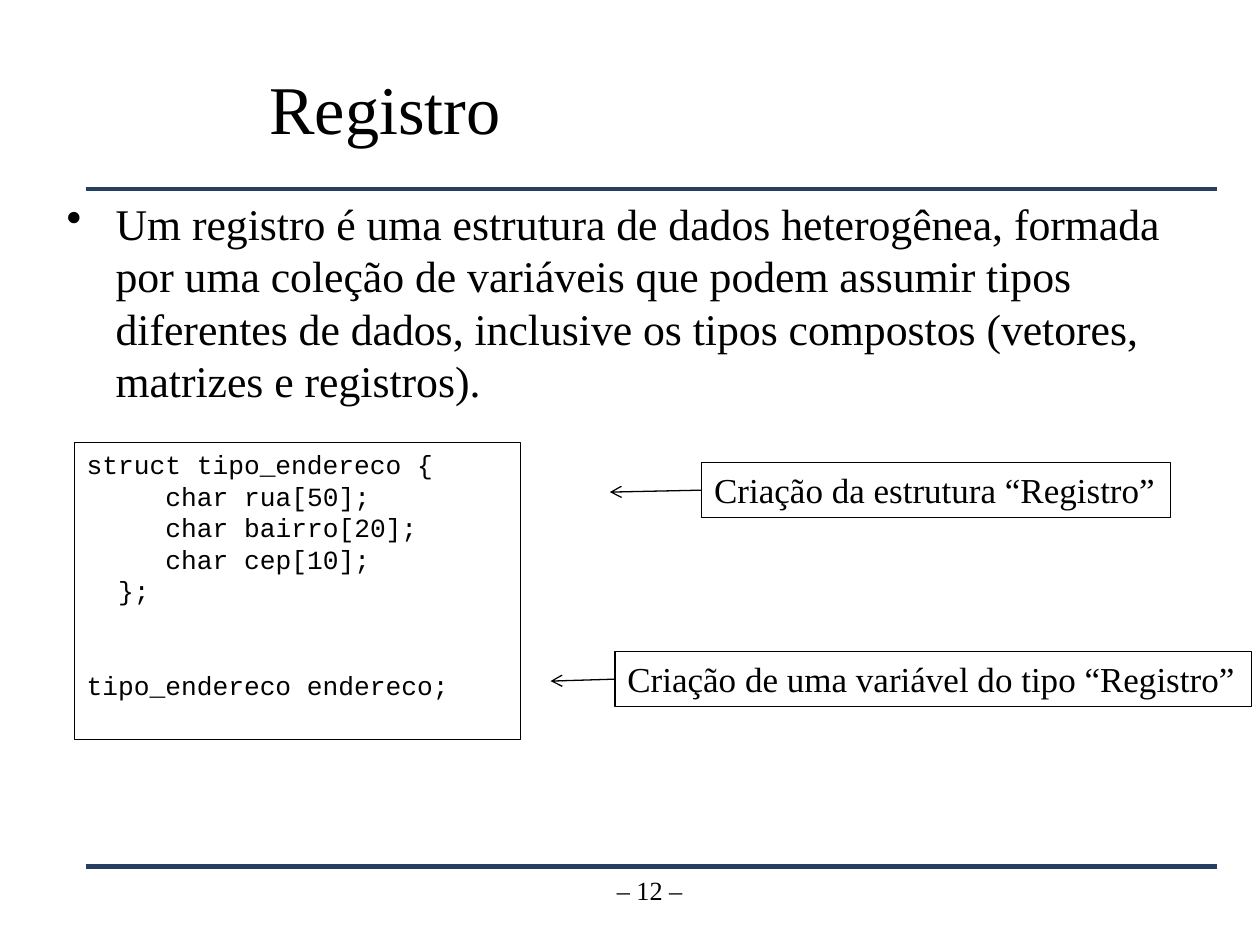
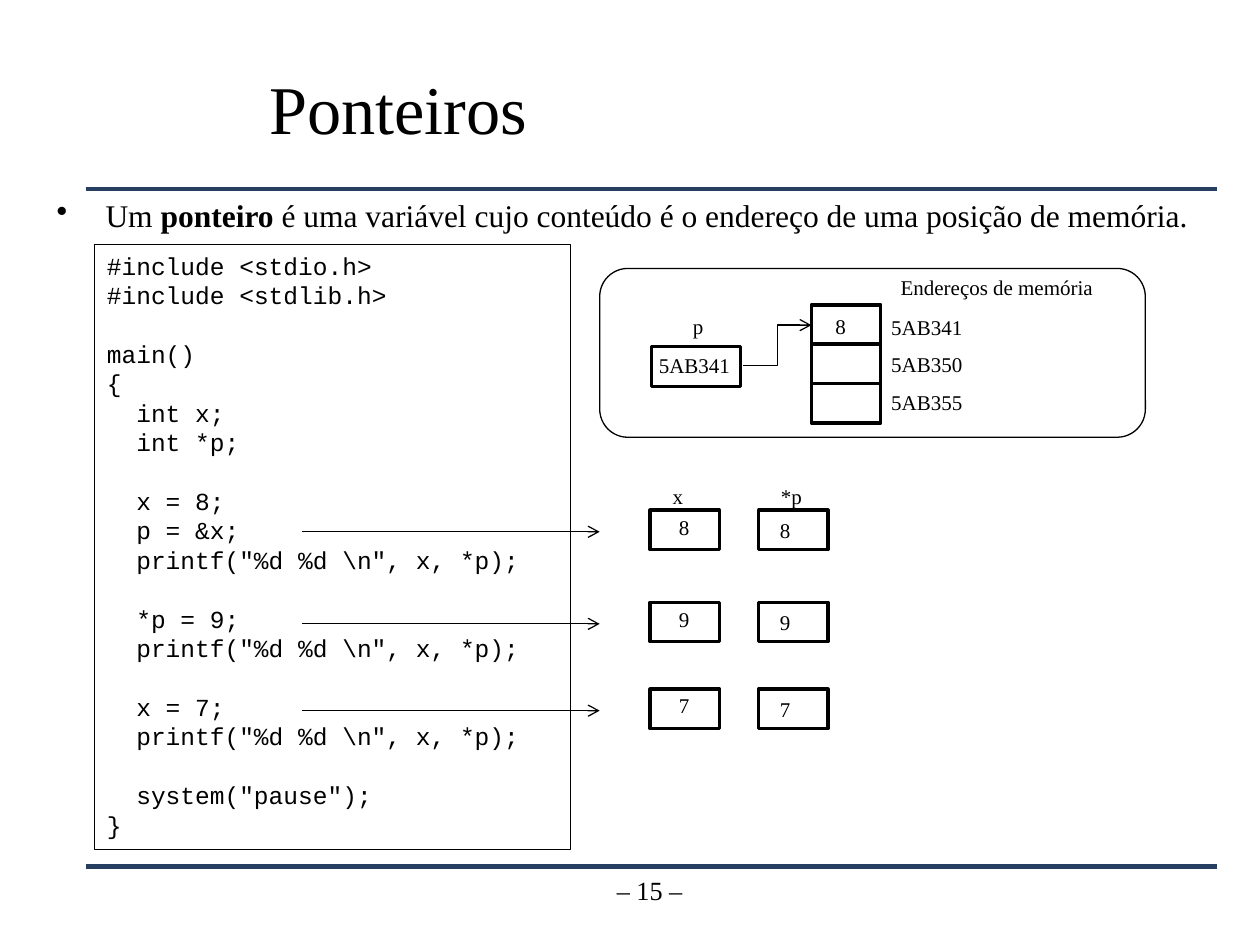
"""Builds two lecture slides on records and pointers in C."""
from lxml import etree
from pptx import Presentation
from pptx.dml.color import RGBColor
from pptx.enum import shapes, text
from pptx.oxml.ns import qn
from pptx.util import Pt

BLACK = RGBColor(0x00, 0x00, 0x00)
WHITE = RGBColor(0xFF, 0xFF, 0xFF)
NAVY = RGBColor(0x26, 0x3E, 0x60)
SERIF, MONO = "Times New Roman", "Courier New"
RECT = shapes.MSO_SHAPE.RECTANGLE
ROUND = shapes.MSO_SHAPE.ROUNDED_RECTANGLE
STRAIGHT, ELBOW = shapes.MSO_CONNECTOR.STRAIGHT, shapes.MSO_CONNECTOR.ELBOW
LEFT, CENTER = text.PP_ALIGN.LEFT, text.PP_ALIGN.CENTER
TOP, MIDDLE = text.MSO_ANCHOR.TOP, text.MSO_ANCHOR.MIDDLE


def write(sl, s, x, y, w, h, size=12, font=SERIF, shape=None, fill=None, line=0.75,
          align=LEFT, anchor=TOP, wrap=True, leading=None, bullet=False):
    """Place text; leading spaces become indents, empty lines space, ** toggles bold."""
    frame = [Pt(v) for v in (x, y, w, h)]
    if shape is None:
        sp = sl.shapes.add_textbox(*frame)
    else:
        sp = sl.shapes.add_shape(shape, *frame)
        sp.shadow.inherit = False
        sp.line.color.rgb, sp.line.width = BLACK, Pt(line)
        if fill is None:
            sp.fill.background()
        else:
            sp.fill.solid()
            sp.fill.fore_color.rgb = fill
    tf = sp.text_frame
    tf.word_wrap, tf.vertical_anchor = wrap, anchor
    p, gap = None, 0
    for row in s.splitlines():
        if not row:
            gap += 1
            continue
        p = tf.add_paragraph() if p else tf.paragraphs[0]
        p.alignment = align
        if leading:
            p.line_spacing = Pt(leading * size)
            p.space_before = Pt(gap * leading * size)
        gap = 0
        body = row.lstrip(" ")
        pPr = p._p.get_or_add_pPr()
        if bullet:
            pPr.set("marL", str(Pt(28)))
            pPr.set("indent", str(Pt(-28)))
            etree.SubElement(pPr, qn("a:buChar")).set("char", "•")
        elif body != row:
            pPr.set("marL", str(Pt(0.6 * size * (len(row) - len(body)))))
        for i, part in enumerate(body.split("**")):
            r = p.add_run()
            r.text = part
            r.font.name, r.font.size, r.font.bold = font, Pt(size), i % 2 == 1
            r.font.color.rgb = BLACK


def connect(sl, x1, y1, x2, y2, kind=STRAIGHT, color=BLACK, width=0.75, arrow=True):
    """Draw a line, with an open arrowhead at its end if asked."""
    cx = sl.shapes.add_connector(kind, Pt(x1), Pt(y1), Pt(x2), Pt(y2))
    cx.line.color.rgb, cx.line.width = color, Pt(width)
    if arrow:
        etree.SubElement(cx.line._get_or_add_ln(), qn("a:tailEnd")).set("type", "arrow")
    etree.SubElement(cx._element.spPr, qn("a:effectLst"))


prs = Presentation()
prs.slide_width, prs.slide_height = Pt(720), Pt(540)

slides = []
for title, number in (("Registro", 12), ("Ponteiros", 15)):
    sl = prs.slides.add_slide(prs.slide_layouts[6])
    for y in (108, 495.4):
        connect(sl, 49, y, 695.5, y, color=NAVY, width=2.83, arrow=False)
    write(sl, title, 146.9, 23, 548, 77, size=39, anchor=MIDDLE)
    write(sl, f"– {number} –", 287.3, 496, 167.8, 37.4, size=15, align=CENTER)
    slides.append(sl)
record, pointer = slides

write(record, "Um registro é uma estrutura de dados heterogênea, formada por uma coleção "
      "de variáveis que podem assumir tipos diferentes de dados, inclusive os tipos "
      "compostos (vetores, matrizes e registros).",
      31, 108.7, 664, 132.5, size=25, leading=1.2, bullet=True)

STRUCT_CODE = """struct tipo_endereco {
     char rua[50];
     char bairro[20];
     char cep[10];
  };


tipo_endereco endereco;"""
write(record, STRUCT_CODE, 42.5, 252.7, 255, 170, size=15, font=MONO,
      shape=RECT, fill=WHITE, leading=1.2)

for s, x, y, w, tip in (
        ("Criação da estrutura “Registro”", 401, 264.2, 267.8, 348.5),
        ("Criação de uma variável do tipo “Registro”", 351.4, 372.2, 363.6, 314.6)):
    write(record, s, x, y, w, 31.7, size=20, shape=RECT, wrap=False)
    connect(record, x, y + 15.9, tip, y + 17)

write(pointer, "Um **ponteiro** é uma variável cujo conteúdo é o endereço de uma "
      "posição de memória.", 25.2, 108.7, 680.4, 36.7, size=18, leading=1.2, bullet=True)

POINTER_CODE = r"""#include <stdio.h>
#include <stdlib.h>

main()
{
  int x;
  int *p;

  x = 8;
  p = &x;
  printf("%d %d \n", x, *p);

  *p = 9;
  printf("%d %d \n", x, *p);

  x = 7;
  printf("%d %d \n", x, *p);

  system("pause");
}"""
write(pointer, POINTER_CODE, 54, 139.7, 272.2, 345.6, size=14, font=MONO,
      shape=RECT, fill=WHITE, leading=1.2)

CELL_W, CELL_H, LABEL_W, LABEL_H = 39.6, 22.5, 20.9, 21.6

write(pointer, "", 342.7, 153.4, 311.8, 96.5, shape=ROUND, fill=WHITE)
write(pointer, "", 372.2, 198, 51.1, 23, shape=RECT, fill=WHITE, line=2)
write(pointer, "p", 388.8, 175.7, LABEL_W, LABEL_H, wrap=False)
write(pointer, "5AB341", 369.4, 198, 55.4, LABEL_H, wrap=False)
write(pointer, "Endereços de memória", 507.6, 153.4, 126, LABEL_H, wrap=False)
for i, address in enumerate(("5AB341", "5AB350", "5AB355")):
    write(pointer, "", 463.7, 174.2 + CELL_H * i, CELL_W, CELL_H,
          shape=RECT, fill=WHITE, line=2)
    write(pointer, address, 502.2, 176 + LABEL_H * i, 55.4, LABEL_H, wrap=False)
write(pointer, "8", 470.2, 175.7, LABEL_W, LABEL_H, wrap=False)
connect(pointer, 424.8, 208.8, 463.7, 185.8, kind=ELBOW)

write(pointer, "x", 377.3, 272.9, LABEL_W, LABEL_H, wrap=False)
write(pointer, "*p", 439.2, 272.9, 26.6, LABEL_H, wrap=False)
for value, y in (("8", 291.6), ("9", 344.2), ("7", 393.8)):
    connect(pointer, 172.8, y + 12.3, 342.7, y + 12.3)
    for x, label_x, label_y in ((371.5, 380.9, y - 1.4), (433.5, 438.6, y + 0.4)):
        write(pointer, "", x, y, CELL_W, CELL_H, shape=RECT, fill=WHITE, line=2)
        write(pointer, value, label_x, label_y, LABEL_W, LABEL_H, wrap=False)

prs.save("out.pptx")
